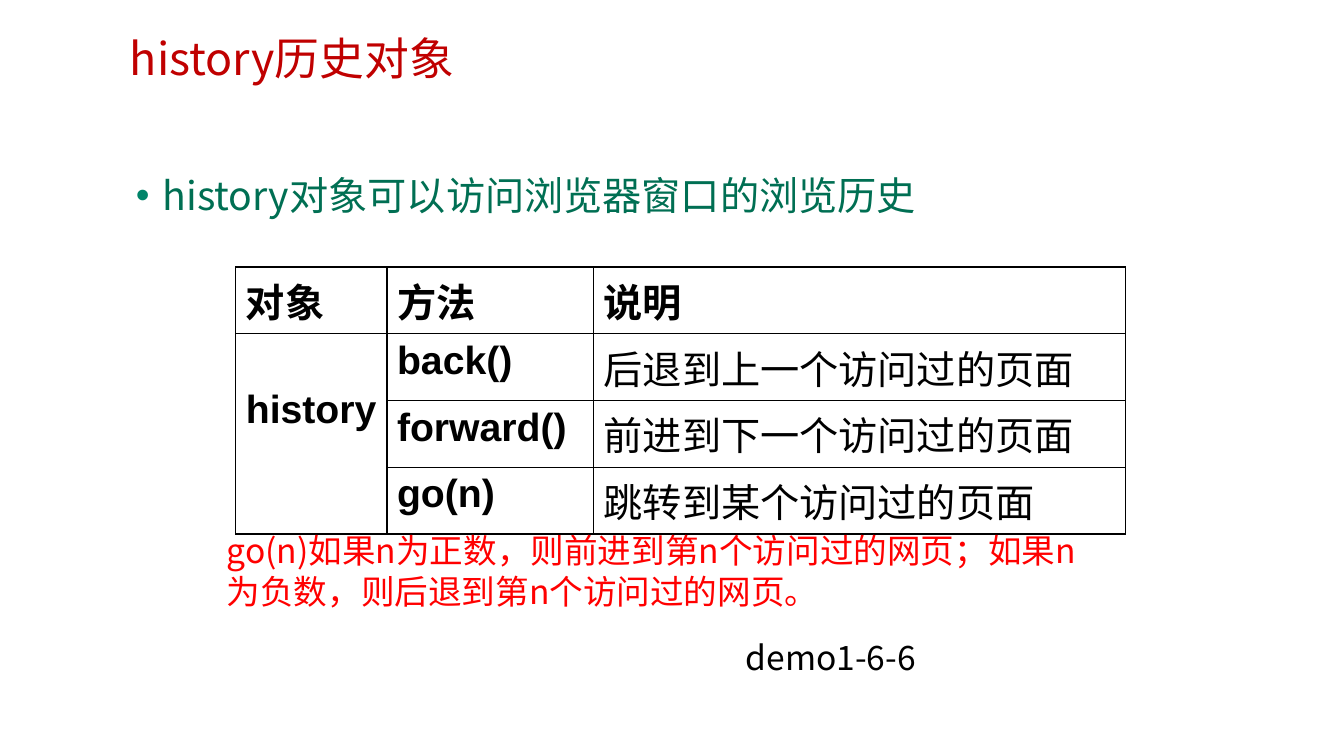
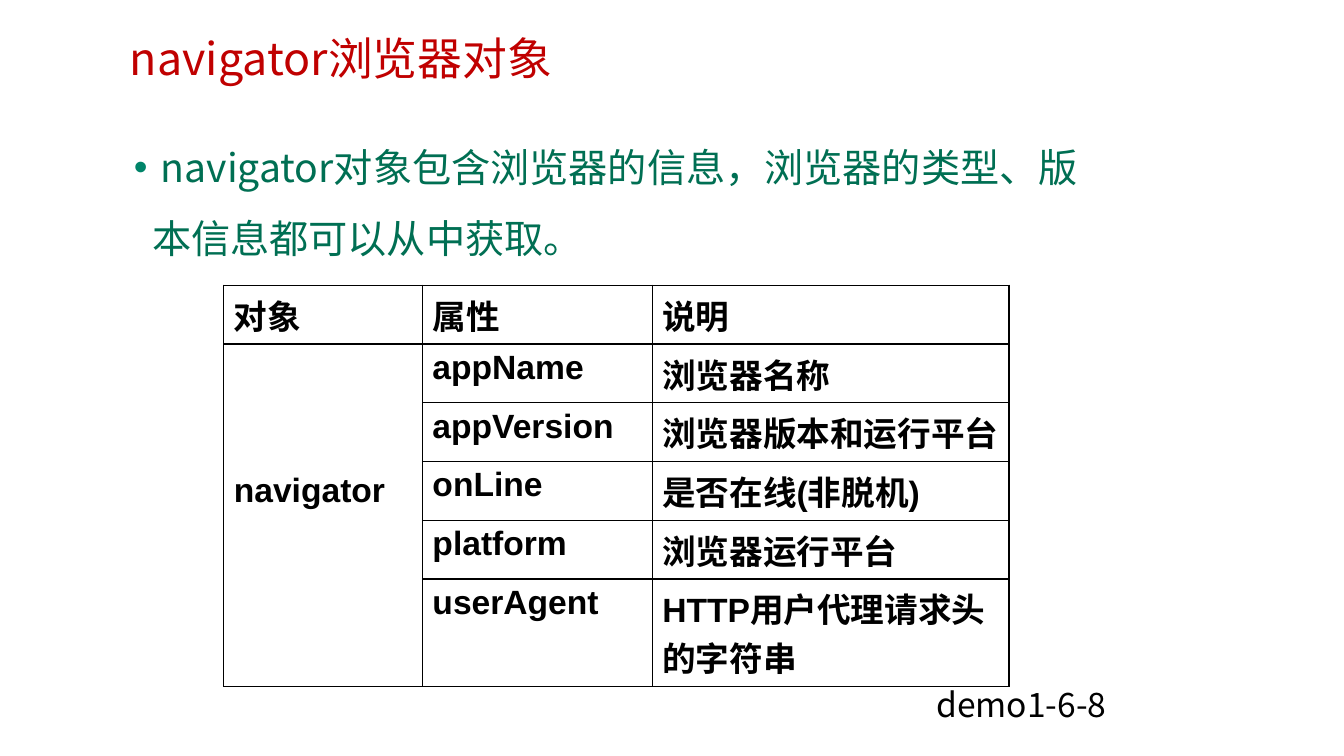
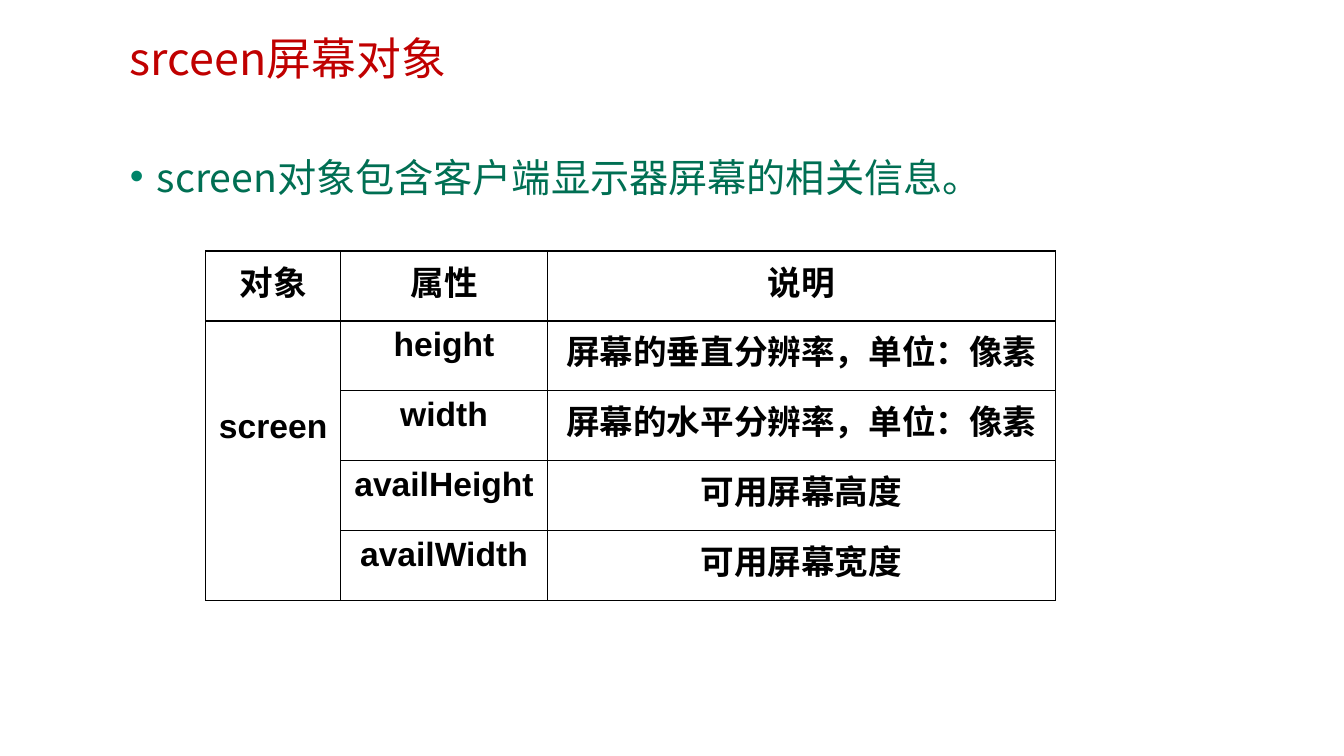
"""Builds three slides on the browser objects history, navigator and screen."""
import pptx
import pptx.dml.color
import pptx.enum.text
import pptx.oxml
import pptx.oxml.ns
import pptx.util

RGB = pptx.dml.color.RGBColor
ALIGN = pptx.enum.text.PP_ALIGN
SANS = "Noto Sans CJK SC"
ARIAL = "Arial"
TITLE_RED = RGB(0xC0, 0x00, 0x00)
NOTE_RED = RGB(0xFF, 0x00, 0x00)
GREEN = RGB(0x00, 0x6F, 0x53)
BULLET_GREEN = RGB(0x00, 0x84, 0x69)
BLACK = RGB(0x00, 0x00, 0x00)
WIDTH = pptx.util.Inches(13.333)
HEIGHT = pptx.util.Inches(7.5)
TITLE_BOX = (8.93, 3.47, 67.2, 7.2)
BODY_HEIGHT = 67.73
DEMO_SIZE = (28.95, 6.67)
HANG = pptx.util.Inches(0.18)


def across(share):
    """Return a percentage of the slide's width."""
    return round(WIDTH * share / 100)


def down(share):
    """Return a percentage of the slide's height."""
    return round(HEIGHT * share / 100)


def xml(tag, **attrs):
    """Return a new drawing element with the given attributes."""
    el = pptx.oxml.parse_xml(f"<a:{tag} {pptx.oxml.ns.nsdecls('a')}/>")
    for key, value in attrs.items():
        el.set(key, str(value))
    return el


def write(tf, text, size, color=BLACK, font=SANS, bold=False,
          align=ALIGN.LEFT, leading=None):
    """Write one formatted paragraph into a text frame and return it."""
    p = tf.paragraphs[0]
    p.alignment = align
    if leading:
        p.line_spacing = pptx.util.Pt(size * leading)
    r = p.add_run()
    r.text = text
    r.font.size = pptx.util.Pt(size)
    r.font.bold = bold
    r.font.name = font
    r.font.color.rgb = color
    r.font._element.find(pptx.oxml.ns.qn("a:latin")).addnext(
        xml("ea", typeface=SANS))
    return p


def add_text(s, box, text, size, leading=1.2, **fmt):
    """Add a wrapped text box and return its paragraph."""
    left, top, width, height = box
    sp = s.shapes.add_textbox(across(left), down(top), across(width), down(height))
    tf = sp.text_frame
    tf.word_wrap = True
    return write(tf, text, size, leading=leading, **fmt)


def add_bullet(s, left, top, width, text):
    """Add the green bulleted statement of a slide."""
    p = add_text(s, (left, top, width, BODY_HEIGHT), text, 28,
                 leading=1.81, color=GREEN)
    pPr = p._p.get_or_add_pPr()
    pPr.set("marL", str(HANG))
    pPr.set("indent", str(-HANG))
    color = xml("buClr")
    color.append(xml("srgbClr", val=BULLET_GREEN))
    pPr.extend([color, xml("buFont", typeface=ARIAL), xml("buChar", char="•")])


def add_borders(cell):
    """Draw thin black borders round a cell."""
    tcPr = cell._tc.get_or_add_tcPr()
    for i, side in enumerate(("lnL", "lnR", "lnT", "lnB")):
        ln = xml(side, w=pptx.util.Pt(1))
        fill = xml("solidFill")
        fill.append(xml("srgbClr", val=BLACK))
        ln.append(fill)
        tcPr.insert(i, ln)


def add_table(s, left, top, cols, heights, head, name, members, size,
              name_leading, align=ALIGN.LEFT, plain_notes=False):
    """Add a member table whose first column is one merged name cell."""
    rows = [head] + [("", *m) for m in members]
    rows[1] = (name, *members[0])
    tbl = s.shapes.add_table(len(rows), len(cols), across(left), down(top),
                             across(sum(cols)), down(sum(heights))).table
    for col, width in zip(tbl.columns, cols):
        col.width = across(width)
    for i, texts in enumerate(rows):
        tbl.rows[i].height = down(heights[i])
        for j, text in enumerate(texts):
            cell = tbl.cell(i, j)
            cell.fill.background()
            add_borders(cell)
            if text:
                write(cell.text_frame, text, size, font=ARIAL, align=align,
                      bold=not (plain_notes and i and j == 2),
                      leading=name_leading if i and j == 0 else None)
    tbl.cell(1, 0).merge(tbl.cell(len(members), 0))


def add_slide(prs, title):
    """Add a blank slide with its red title."""
    s = prs.slides.add_slide(prs.slide_layouts[6])
    add_text(s, TITLE_BOX, title, 32, color=TITLE_RED)
    return s


def history_slide(prs):
    """Build the history slide."""
    s = add_slide(prs, "history历史对象")
    add_bullet(s, 9.38, 18.8, 79.65, " history对象可以访问浏览器窗口的浏览历史")
    add_table(s, 17.55, 35.33, (11.25, 15.38, 39.6), [8.83] * 4,
              ("对象", "方法", "说明"), "history",
              [("back()", "后退到上一个访问过的页面"),
               ("forward()", "前进到下一个访问过的页面"),
               ("go(n)", "跳转到某个访问过的页面")],
              28, name_leading=2.36, plain_notes=True)
    add_text(s, (54.75, 83.6, *DEMO_SIZE), "demo1-6-6", 24)
    add_text(s, (16.13, 69.47, 66.15, 12.13),
             "go(n)如果n为正数，则前进到第n个访问过的网页；"
             "如果n为负数，则后退到第n个访问过的网页。", 24, color=NOTE_RED)


def navigator_slide(prs):
    """Build the navigator slide."""
    s = add_slide(prs, "navigator浏览器对象")
    add_bullet(s, 9.23, 15.2, 72,
               " navigator对象包含浏览器的信息，浏览器的类型、版本信息都可以从中获取。")
    add_table(s, 16.65, 37.73, (14.78, 17.1, 26.55), [7.77] * 5 + [14.2],
              ("对象", "属性", "说明"), "navigator",
              [("appName", "浏览器名称"),
               ("appVersion", "浏览器版本和运行平台"),
               ("onLine", "是否在线(非脱机)"),
               ("platform", "浏览器运行平台"),
               ("userAgent", "HTTP用户代理请求头的字符串")],
              24, name_leading=4.78)
    add_text(s, (68.93, 89.87, *DEMO_SIZE), "demo1-6-8", 24)


def screen_slide(prs):
    """Build the screen slide."""
    s = add_slide(prs, "srceen屏幕对象")
    add_bullet(s, 8.93, 16.4, 75.9, " screen对象包含客户端显示器屏幕的相关信息。")
    add_table(s, 15.3, 33.2, (10.05, 15.38, 37.8), [9.25] * 5,
              ("对象", "属性", "说明"), "screen",
              [("height", "屏幕的垂直分辨率，单位：像素"),
               ("width", "屏幕的水平分辨率，单位：像素"),
               ("availHeight", "可用屏幕高度"),
               ("availWidth", "可用屏幕宽度")],
              24, name_leading=3.57, align=ALIGN.CENTER)


def main():
    """Build and save the presentation."""
    prs = pptx.Presentation()
    prs.slide_width, prs.slide_height = WIDTH, HEIGHT
    history_slide(prs)
    navigator_slide(prs)
    screen_slide(prs)
    prs.save("out.pptx")


if __name__ == "__main__":
    main()
